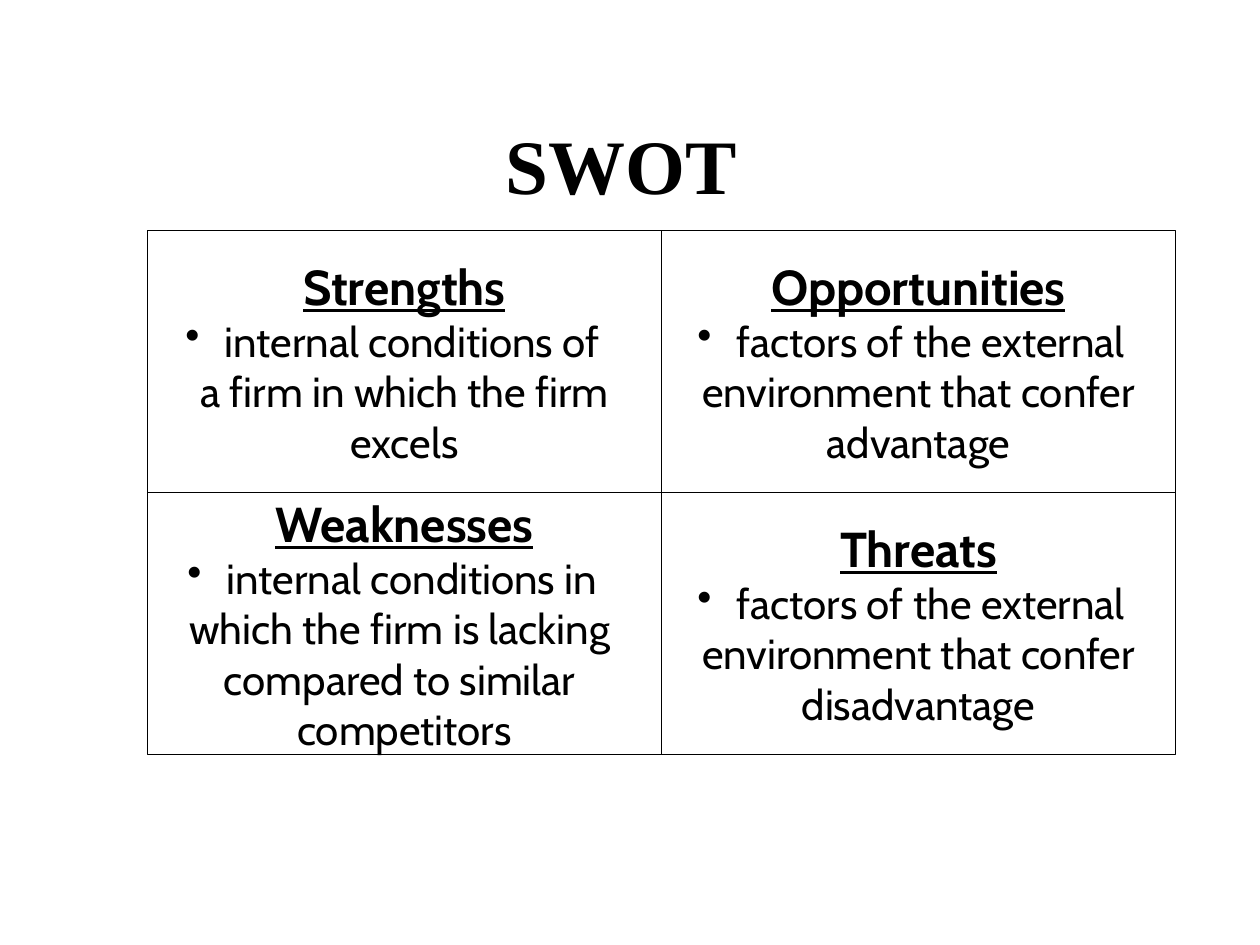
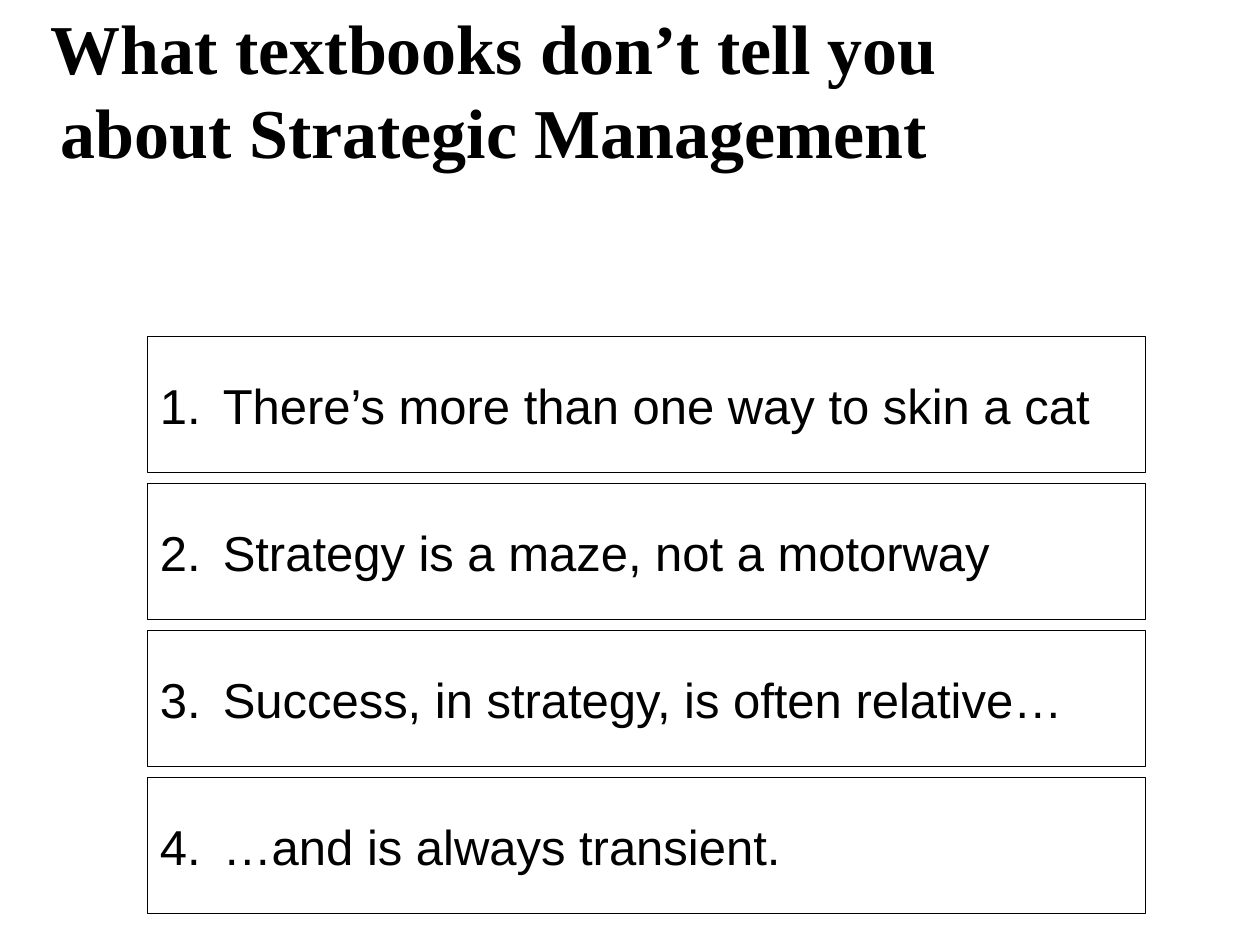
from lxml import etree
from pptx import Presentation
from pptx.dml.color import RGBColor
from pptx.enum.shapes import MSO_SHAPE
from pptx.enum.text import MSO_ANCHOR, PP_ALIGN
from pptx.oxml.ns import qn
from pptx.util import Inches, Pt

BLACK = RGBColor(0x00, 0x00, 0x00)
TITLE_FONT, SWOT_FONT, LIST_FONT = "Times New Roman", "Cabin", "Arial"


def add_box(slide, left, top, width, height, outlined=True):
    """Add a rectangle, outlined or invisible, and return its text frame."""
    place = [Inches(value) for value in (left, top, width, height)]
    if outlined:
        shape = slide.shapes.add_shape(MSO_SHAPE.RECTANGLE, *place)
        shape.shadow.inherit = False
        shape.fill.background()
        shape.line.color.rgb = BLACK
        shape.line.width = Pt(0.75)
    else:
        shape = slide.shapes.add_textbox(*place)
    frame = shape.text_frame
    frame.word_wrap = not outlined
    frame.vertical_anchor = MSO_ANCHOR.MIDDLE
    return frame


def write(paragraph, text, font, size, bold=False, underline=False, align=PP_ALIGN.CENTER):
    paragraph.alignment = align
    run = paragraph.add_run()
    run.text = text
    run.font.name = font
    run.font.size = Pt(size)
    run.font.bold = bold
    run.font.underline = underline
    run.font.color.rgb = BLACK


presentation = Presentation()
presentation.slide_width = Inches(10)
presentation.slide_height = Inches(7.5)
blank = presentation.slide_layouts[6]

# SWOT matrix
slide = presentation.slides.add_slide(blank)
title = add_box(slide, 0.75, 0.67, 8.5, 1.25, outlined=False)
write(title.paragraphs[0], "SWOT ", TITLE_FONT, 44, bold=True)

QUADRANTS = [  # column, row, heading, lines
    (0, 0, "Strengths", ["internal conditions of ", "a firm in which the firm", "excels"]),
    (0, 1, "Weaknesses", ["internal conditions in ", "which the firm is lacking ",
                          "compared to similar ", "competitors"]),
    (1, 0, "Opportunities", ["factors of the external", "environment that confer",
                             "advantage"]),
    (1, 1, "Threats", ["factors of the external", "environment that confer",
                       "disadvantage"]),
]
QUADRANT_WIDTH, QUADRANT_HEIGHT = 4.08, 2.08
for column, row, heading, lines in QUADRANTS:
    frame = add_box(slide, 1.17 + column * QUADRANT_WIDTH, 1.83 + row * QUADRANT_HEIGHT,
                    QUADRANT_WIDTH, QUADRANT_HEIGHT)
    write(frame.paragraphs[0], heading, SWOT_FONT, 28, bold=True, underline=True)
    for index, line in enumerate(lines):
        paragraph = frame.add_paragraph()
        if index == 0:
            properties = paragraph._p.get_or_add_pPr()
            etree.SubElement(properties, qn("a:buChar"), char="•")
            write(paragraph, " ", SWOT_FONT, 24, bold=True)
        write(paragraph, line, SWOT_FONT, 24)

# Numbered lessons
slide = presentation.slides.add_slide(blank)
title = add_box(slide, -0.33, 0.08, 8.5, 1.25, outlined=False)
write(title.paragraphs[0], "What textbooks don’t tell you about Strategic Management",
      TITLE_FONT, 40, bold=True)

LESSONS = [
    "There’s more than one way to skin a cat",
    "Strategy is a maze, not a motorway",
    "Success, in strategy, is often relative…",
    "…and is always transient.",
]
LESSON_PITCH = 3.5 / 3
for index, lesson in enumerate(LESSONS):
    frame = add_box(slide, 1.17, 2.67 + index * LESSON_PITCH, 7.92, 1.08)
    paragraph = frame.paragraphs[0]
    properties = paragraph._p.get_or_add_pPr()
    properties.set("marL", str(Inches(0.5)))
    properties.set("indent", str(-Inches(0.5)))
    etree.SubElement(properties, qn("a:buAutoNum"), type="arabicPeriod",
                     startAt=str(index + 1))
    write(paragraph, lesson, LIST_FONT, 28, align=PP_ALIGN.LEFT)

presentation.save("out.pptx")
